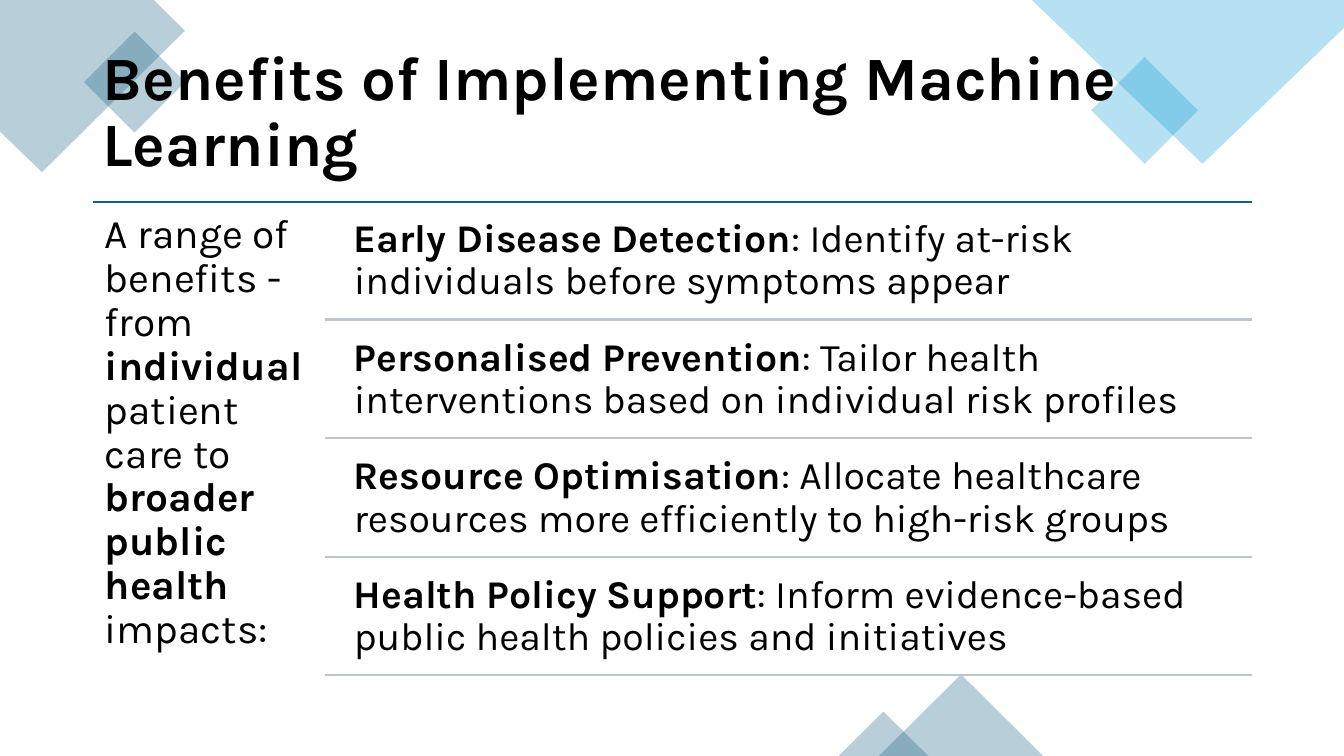
from lxml import etree
from pptx import Presentation
from pptx.dml.color import RGBColor
from pptx.enum import shapes, text
from pptx.oxml import ns
from pptx.util import Pt

FONT = "Karla"
BLACK, TEAL, SKY, GREY = "000000", "156082", "0F9ED5", "BDC5CD"

TITLE = [("Benefits of Implementing Machine Learning", True)]
SUMMARY = [
    ("A range of benefits - from ", False),
    ("individual", True),
    (" patient care to ", False),
    ("broader public health ", True),
    ("impacts:", False),
]
BENEFITS = [
    ("Early Disease Detection", "Identify at-risk individuals before symptoms appear"),
    ("Personalised Prevention", "Tailor health interventions based on individual risk profiles"),
    ("Resource Optimisation", "Allocate healthcare resources more efficiently to high-risk groups"),
    ("Health Policy Support", "Inform evidence-based public health policies and initiatives"),
]

CORNERS = [
    (TEAL, [(110.2, 0), (0, 0), (0, 93.6), (29.5, 123.1), (131.8, 21.6)]),
    (SKY, [(960, 0), (736.6, 0), (859, 116.6), (960, 20.2)]),
]
SQUARES = [(TEAL, 70.6, 33.1, 51.1), (SKY, 790.6, 51.8, 54)]
PEAKS = [(627.8, 481.7, 117.4, 58.3), (599, 508.3, 64.1, 31.7)]

LEFT, RIGHT, TOP = 66.2, 894.2, 144
RULE_LEFT, TEXT_LEFT = 231.8, 244.1
ROW_HEIGHT, ROW_PITCH = 80.6, 84.7
FIRST_ROW = 147.6


def color(value):
    return RGBColor.from_string(value)


def tint(shape, value):
    shape.shadow.inherit = False
    shape.fill.solid()
    shape.fill.fore_color.rgb = color(value)
    fill = shape.fill._xPr.find(ns.qn("a:solidFill"))
    etree.SubElement(fill[0], ns.qn("a:alpha"), val="30000")
    shape.line.fill.background()


def add_preset(slide, kind, value, left, top, width, height, rotation=0):
    shape = slide.shapes.add_shape(kind, Pt(left), Pt(top), Pt(width), Pt(height))
    shape.rotation = rotation
    tint(shape, value)


def add_rule(slide, left, y, value):
    rule = slide.shapes.add_connector(
        shapes.MSO_CONNECTOR.STRAIGHT, Pt(left), Pt(y), Pt(RIGHT), Pt(y))
    rule.line.color.rgb = color(value)
    rule.line.width = Pt(1.5)
    etree.SubElement(rule._element.spPr, ns.qn("a:effectLst"))


def add_text(slide, runs, left, top, width, height, size, inset=8.64):
    box = slide.shapes.add_textbox(Pt(left), Pt(top), Pt(width), Pt(height))
    frame = box.text_frame
    frame.word_wrap = True
    frame.margin_left = frame.margin_right = Pt(inset)
    frame.margin_top = frame.margin_bottom = Pt(inset)
    paragraph = frame.paragraphs[0]
    paragraph.line_spacing = 0.9
    paragraph.font.name = FONT
    paragraph.font.size = Pt(size)
    paragraph.font.color.rgb = color(BLACK)
    for words, bold in runs:
        run = paragraph.add_run()
        run.text = words
        run.font.bold = bold
    return frame


def main():
    presentation = Presentation()
    presentation.slide_width, presentation.slide_height = Pt(960), Pt(540)
    slide = presentation.slides.add_slide(presentation.slide_layouts[6])

    for value, points in CORNERS:
        builder = slide.shapes.build_freeform(*points[0], scale=Pt(1))
        builder.add_line_segments(points[1:], close=True)
        tint(builder.convert_to_shape(), value)
    for value, left, top, side in SQUARES:
        add_preset(slide, shapes.MSO_SHAPE.RECTANGLE, value, left, top, side, side, 315)
    for peak in PEAKS:
        add_preset(slide, shapes.MSO_SHAPE.ISOSCELES_TRIANGLE, TEAL, *peak)

    title = add_text(slide, TITLE, LEFT, 28.8, RIGHT - LEFT, 104.4, 44, 7.2)
    title.vertical_anchor = text.MSO_ANCHOR.MIDDLE

    add_rule(slide, LEFT, TOP, TEAL)
    add_text(slide, SUMMARY, LEFT, TOP, 165.6, 342.7, 29)
    for row, (name, detail) in enumerate(BENEFITS):
        top = FIRST_ROW + row * ROW_PITCH
        add_text(slide, [(name, True), (": " + detail, False)],
                 TEXT_LEFT, top, RIGHT - TEXT_LEFT, ROW_HEIGHT, 28)
        add_rule(slide, RULE_LEFT, top + ROW_HEIGHT, GREY)

    presentation.save("out.pptx")


if __name__ == "__main__":
    main()
